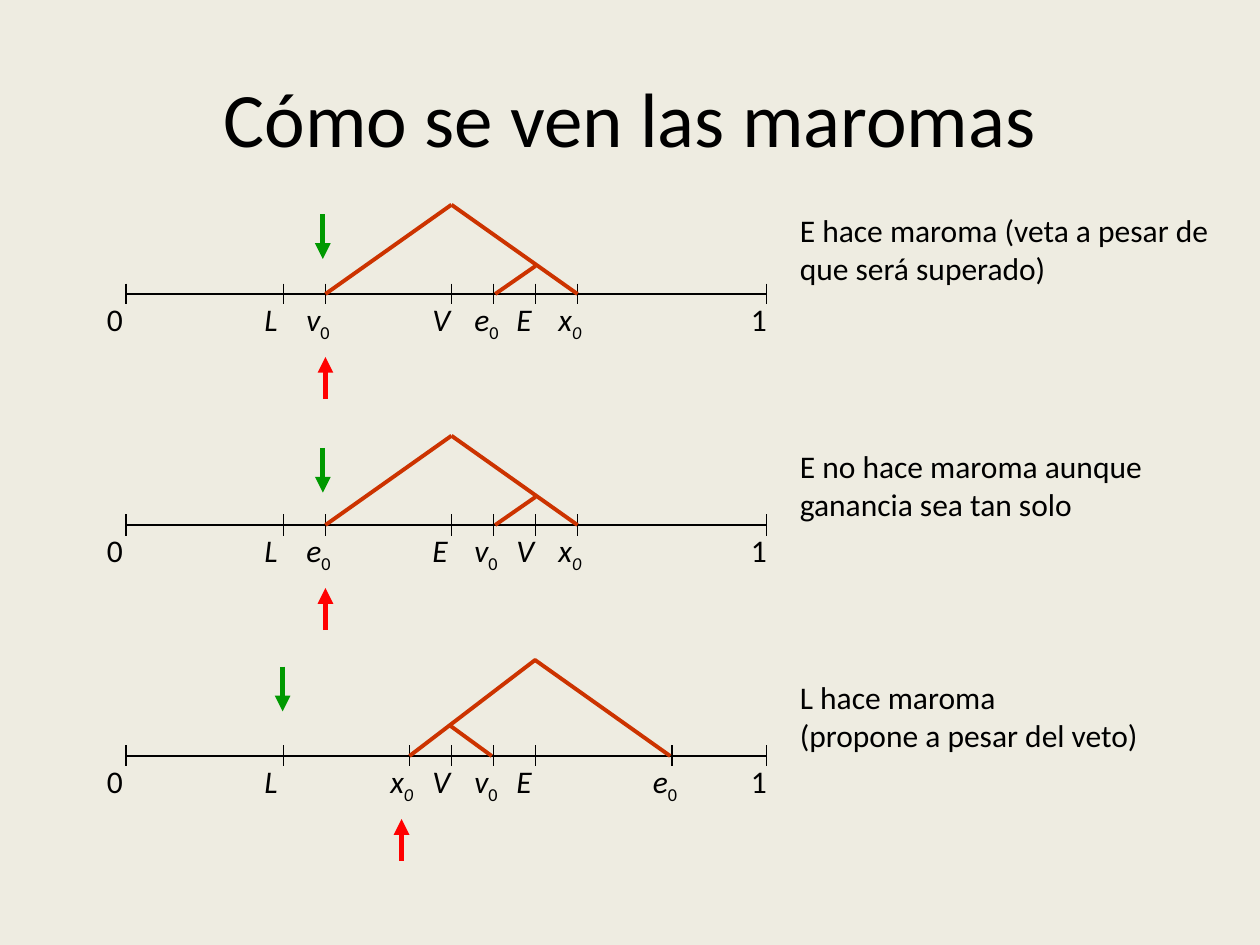
from dataclasses import dataclass

from lxml import etree
from pptx import Presentation
from pptx.dml.color import RGBColor
from pptx.enum.shapes import MSO_CONNECTOR
from pptx.enum.text import MSO_ANCHOR, MSO_AUTO_SIZE, PP_ALIGN
from pptx.oxml.ns import qn
from pptx.util import Pt

STRAIGHT = MSO_CONNECTOR.STRAIGHT
CENTER = PP_ALIGN.CENTER
MIDDLE = MSO_ANCHOR.MIDDLE
GROW = MSO_AUTO_SIZE.SHAPE_TO_FIT_TEXT

BLACK, RUST, RED, GREEN = "000000", "CC3300", "FF0000", "009900"
AXIS_START, AXIS_END = 72, 438
NOTE_LEFT, NOTE_HEIGHT = 450, 51


def color(hex_string):
    return RGBColor.from_string(hex_string)


@dataclass
class Deck:
    """Holds the text style and the current slide, and draws each kind of element."""

    slide: object
    font: str = "Calibri"
    ink: str = BLACK
    size: int = 18

    def background(self, fill):
        self.slide.background.fill.solid()
        self.slide.background.fill.fore_color.rgb = color(fill)

    def style(self, paragraph, size, italic=False):
        paragraph.font.name = self.font
        paragraph.font.size = Pt(size)
        paragraph.font.italic = italic
        paragraph.font.color.rgb = color(self.ink)

    def title(self, text, left, top, width, height):
        heading = self.slide.shapes.title
        heading.left, heading.top = Pt(left), Pt(top)
        heading.width, heading.height = Pt(width), Pt(height)
        heading.text_frame.text = text
        heading.text_frame.vertical_anchor = MIDDLE
        paragraph = heading.text_frame.paragraphs[0]
        paragraph.alignment = CENTER
        self.style(paragraph, 44)

    def text(self, shapes, text, left, top, width, height, italic=False):
        frame = shapes.add_textbox(Pt(left), Pt(top), Pt(width), Pt(height)).text_frame
        frame.word_wrap = True
        frame.auto_size = GROW
        frame.text = text
        paragraph = frame.paragraphs[0]
        self.style(paragraph, self.size, italic)
        return paragraph

    def line(self, shapes, start, end, stroke=BLACK, width=0.75, arrow=False):
        connector = shapes.add_connector(STRAIGHT, *map(Pt, (*start, *end)))
        connector.line.color.rgb = color(stroke)
        connector.line.width = Pt(width)
        if arrow:
            outline = connector.line._get_or_add_ln()
            etree.SubElement(outline, qn("a:tailEnd"), type="triangle")
        etree.SubElement(connector._element.spPr, qn("a:effectLst"))

    def mark(self, shapes, x, y, name, offset=18):
        self.line(shapes, (x, y - 6), (x, y + 6))
        symbol, subscript = name[0], name[1:]
        label = self.text(shapes, symbol, x - offset, y, 36, 36, symbol.isalpha())
        if subscript:
            index = label.add_run()
            index.text = subscript
            index.font.italic = symbol == "x"
            index._r.get_or_add_rPr().set("baseline", "-25000")

    def diagram(self, y, points, slopes, proposal_x):
        shapes = self.slide.shapes.add_group_shape().shapes
        self.mark(shapes, AXIS_START, y, "0")
        self.mark(shapes, AXIS_END, y, "1", 16)
        self.line(shapes, (AXIS_START, y), (AXIS_END, y), width=1.5)
        for name, x in points.items():
            self.mark(shapes, x, y, name)
        for x1, rise1, x2, rise2 in slopes:
            self.line(shapes, (x1, y - rise1), (x2, y - rise2), RUST, 2.25)
        self.line(shapes, (proposal_x, y + 60), (proposal_x, y + 36), RED, 3, True)


def main():
    presentation = Presentation()
    presentation.slide_width, presentation.slide_height = Pt(720), Pt(540)
    deck = Deck(presentation.slides.add_slide(presentation.slide_layouts[5]))
    deck.background("EEECE1")
    deck.title("Cómo se ven las maromas", 36, 21.6, 648, 90)

    centered = [(330, 0, 258, 51), (186, 0, 258, 51), (283, 0, 306, 16)]
    shifted = [(234, 0, 306, 55), (383, 0, 305.5, 55), (281, 0, 257, 17.5)]
    diagrams = [
        (168, {"L": 162, "v0": 186, "V": 258, "e0": 282, "E": 306, "x0": 330}, centered, 186),
        (300, {"L": 162, "e0": 186, "E": 258, "v0": 282, "V": 306, "x0": 330}, centered, 186),
        (432, {"L": 162, "x0": 234, "V": 258, "v0": 282, "E": 306, "e0": 384}, shifted, 229.5),
    ]
    for diagram in diagrams:
        deck.diagram(*diagram)

    shapes = deck.slide.shapes
    notes = [
        ("E hace maroma (veta a pesar de que será superado)", 117, 252),
        ("E no hace maroma aunque ganancia sea tan solo", 252, 246),
        ("L hace maroma\v(propone a pesar del veto)", 384, 246),
    ]
    for note, top, width in notes:
        deck.text(shapes, note, NOTE_LEFT, top, width, NOTE_HEIGHT)

    for x, top in [(184.5, 122.5), (184.5, 256), (161.5, 381)]:
        deck.line(shapes, (x, top), (x, top + 25.5), GREEN, 3, True)

    presentation.save("out.pptx")


if __name__ == "__main__":
    main()
